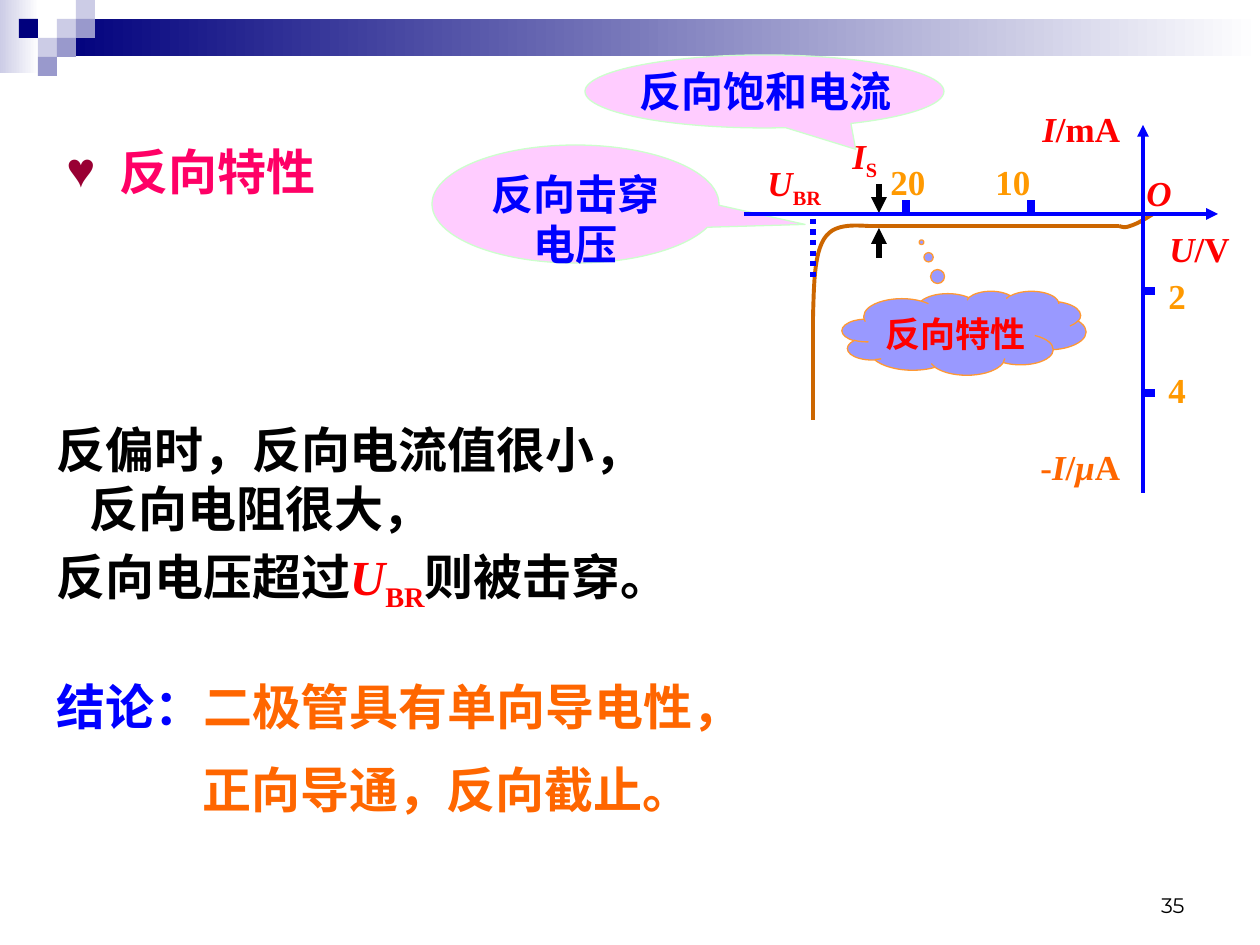
from pptx import Presentation
from pptx.dml.color import RGBColor
from pptx.enum.dml import MSO_LINE
from pptx.enum.shapes import MSO_CONNECTOR, MSO_SHAPE
from pptx.enum.text import MSO_ANCHOR, PP_ALIGN
from pptx.oxml.ns import qn
from pptx.util import Emu, Pt
from lxml.etree import SubElement

PX = 914400 / 126
SERIF = "Times New Roman"
RED, BLUE, ORANGE, AMBER = "FF0000", "0000FF", "FF6600", "FF9900"
BLACK, BROWN, PINK, MINT = "000000", "CC6600", "FFCCFF", "CCFFCC"

# Header: left, top, width, height, first colour of a fade to white
FADES = [(0, 0, 39, 73, "CCCCE6"), (57, 19, 1203, 37, "00007D")]
SQUARE = 19
SQUARES = [  # column, row, colour
    (3, 1, "CCCCE6"), (4, 0, "CCCCE6"), (4, 1, "9999CC"), (2, 2, "CCCCE6"),
    (1, 1, "00007D"), (3, 2, "9999CC"), (2, 3, "9999CC"),
]

# Preset, left, top, width, height, pointer, fill, line
CALLOUTS = [
    (MSO_SHAPE.CLOUD_CALLOUT, 842, 291, 244, 84, (-0.174, -1.081), "9999FF", "FF9933"),
    (MSO_SHAPE.OVAL_CALLOUT, 585, 55, 359, 73, (0.254, 0.792), PINK, MINT),
    (MSO_SHAPE.OVAL_CALLOUT, 432, 145, 287, 118, (0.8, 0.173), PINK, MINT),
]
BREAKDOWN_NOTE = [("反向击穿电压", BLUE, "")]

# x1, y1, x2, y2, colour, points, ending
LINES = [
    (1119, 226, 869, 226, BROWN, 2.25, ""),
    (813, 318, 813, 420, BROWN, 2.25, ""),
    (879, 184, 879, 213, BLACK, 3, "arrow"),
    (879, 258, 879, 228, BLACK, 3, "arrow"),
    (813, 219, 813, 282, BLUE, 3, "dots"),
    (1143, 493, 1143, 125, BLUE, 2.25, "arrow"),
    (744, 214, 1218, 214, BLUE, 2.25, "arrow"),
]
LINES += [(1143, y, 1155, y, BLUE, 4.5, "") for y in (291, 393)]
LINES += [(x, 214, x, 200, BLUE, 4.5, "") for x in (1031, 906)]

# Cubic Bezier curves: start, then control, control, end for each piece
CURVES = [
    [(1153, 214), (1145, 219), (1137, 224), (1130, 226), (1125, 228), (1122, 227), (1119, 226)],
    [(869, 226), (852, 225), (833, 224), (824, 239), (814, 255), (814, 286), (813, 318)],
]

# Left, top, width, points, spans; a span is text, colour, style (i italic, s subscript)
LABELS = [
    (840, 128, 63, 20, [("I", RED, "i"), ("S", RED, "s")]),
    (873, 306, 171, 20, [("反向特性", RED, "")]),
    (755, 155, 84, 20, [("U", RED, "i"), ("BR", RED, "s")]),
    (627, 59, 289, 24, [("反向饱和电流", BLUE, "")]),
    (1156, 268, 58, 20, [("2", AMBER, "")]),
    (1156, 362, 68, 20, [("4", AMBER, "")]),
    (1028, 439, 126, 20, [("-", ORANGE, ""), ("I", ORANGE, "i"), ("/", ORANGE, ""),
                          ("μ", ORANGE, "i"), ("A", ORANGE, "")]),
    (1030, 101, 126, 20, [("I", RED, "i"), ("/mA", RED, "")]),
    (1157, 221, 103, 20, [("U", RED, "i"), ("/V", RED, "")]),
    (878, 154, 63, 20, [("20", AMBER, "")]),
    (983, 154, 63, 20, [("10", AMBER, "")]),
    (1134, 165, 68, 20, [("O", RED, "i")]),
]

# Left, top, width, height, paragraphs of (left margin px, points before, spans)
BODIES = [
    (44, 413, 726, 202, [
        (0, 0, [("反偏时，反向电流值很小，", BLACK, "")]),
        (33, 0, [("反向电阻很大，", BLACK, "")]),
        (0, 5.6, [("反向电压超过", BLACK, ""), ("U", RED, "i"), ("BR", RED, "s"),
                  ("则被击穿。", BLACK, "")]),
    ]),
    (44, 670, 745, 160, [
        (0, 0, [("结论：", BLUE, ""), ("二极管具有单向导电性，", ORANGE, "")]),
        (146, 14, [("正向导通，反向截止。", ORANGE, "")]),
    ]),
]
HEADING = (54, 135, 397, 72, [(53, 0, [("反向特性", "FF0066", "")])])


def emu(*lengths):
    return [Emu(round(length * PX)) for length in lengths]


def rgb(color):
    return RGBColor.from_string(color)


def add_preset(preset, *frame):
    shape = page.shapes.add_shape(preset, *emu(*frame))
    shape.shadow.inherit = False
    shape.line.fill.background()
    return shape


def fill_solid(shape, color):
    shape.fill.solid()
    shape.fill.fore_color.rgb = rgb(color)


def add_spans(para, spans, size, font=SERIF, bold=True):
    for text, color, style in spans:
        span = para.add_run()
        span.text = text
        span.font.name, span.font.size = font, Pt(size)
        span.font.bold, span.font.italic = bold, "i" in style
        span.font.color.rgb = rgb(color)
        if "s" in style:
            span.font._element.set("baseline", "-25000")


def add_box(*frame):
    box = page.shapes.add_textbox(*emu(*frame))
    box.text_frame.word_wrap = True
    return box.text_frame


def add_body(left, top, width, height, paragraphs):
    frame = add_box(left, top, width, height)
    for number, (margin, before, spans) in enumerate(paragraphs):
        para = frame.add_paragraph() if number else frame.paragraphs[0]
        para._p.get_or_add_pPr().set("marL", str(emu(margin)[0]))
        if before:
            para.space_before = Pt(before)
        add_spans(para, spans, 28)
    return frame


def add_heart(para, indent):
    """Give the paragraph a hanging heart bullet."""
    props = para._p.get_or_add_pPr()
    props.set("indent", str(-emu(indent)[0]))
    SubElement(SubElement(props, qn("a:buClr")), qn("a:srgbClr"), val="990033")
    SubElement(props, qn("a:buFont"), typeface=SERIF)
    SubElement(props, qn("a:buChar"), char="♥")


def add_line(x1, y1, x2, y2, color, points, ending):
    line = page.shapes.add_connector(MSO_CONNECTOR.STRAIGHT, *emu(x1, y1, x2, y2))
    line.line.color.rgb, line.line.width = rgb(color), Pt(points)
    if ending == "dots":
        line.line.dash_style = MSO_LINE.ROUND_DOT
    elif ending == "arrow":
        SubElement(line.line._get_or_add_ln(), qn("a:tailEnd"), type="triangle")
    SubElement(line._element.spPr, qn("a:effectLst"))


def bezier_points(curve, steps=12):
    for first in range(0, len(curve) - 1, 3):
        a, b, c, d = curve[first:first + 4]
        for step in range(1, steps + 1):
            t = step / steps
            u = 1 - t
            yield emu(*(u**3 * p + 3 * u * u * t * q + 3 * u * t * t * r + t**3 * s
                        for p, q, r, s in zip(a, b, c, d)))


def add_curve(curve):
    builder = page.shapes.build_freeform(*emu(*curve[0]))
    builder.add_line_segments(list(bezier_points(curve)), close=False)
    shape = builder.convert_to_shape()
    shape.shadow.inherit = False
    shape.fill.background()
    shape.line.color.rgb, shape.line.width = rgb(BROWN), Pt(2.25)


deck = Presentation()
deck.slide_width, deck.slide_height = emu(1260, 945)
page = deck.slides.add_slide(deck.slide_layouts[6])

for *frame, color in FADES:
    fill = add_preset(MSO_SHAPE.RECTANGLE, *frame).fill
    fill.gradient()
    fill.gradient_angle = 0
    for stop, shade in zip(fill.gradient_stops, (color, "FFFFFF")):
        stop.color.rgb = rgb(shade)
for column, row, color in SQUARES:
    cell = add_preset(MSO_SHAPE.RECTANGLE, column * SQUARE, row * SQUARE, SQUARE, SQUARE)
    fill_solid(cell, color)

for preset, *frame, pointer, color, edge in CALLOUTS:
    callout = add_preset(preset, *frame)
    callout.adjustments[0], callout.adjustments[1] = pointer
    fill_solid(callout, color)
    callout.line.color.rgb, callout.line.width = rgb(edge), Pt(0.75)
callout.text_frame.vertical_anchor = MSO_ANCHOR.TOP
callout.text_frame.paragraphs[0].alignment = PP_ALIGN.CENTER
add_spans(callout.text_frame.paragraphs[0], BREAKDOWN_NOTE, 24)

for curve in CURVES:
    add_curve(curve)
for line in LINES:
    add_line(*line)
for left, top, width, size, spans in LABELS:
    add_spans(add_box(left, top, width, 54).paragraphs[0], spans, size)
for body in BODIES:
    add_body(*body)
add_heart(add_body(*HEADING).paragraphs[0], 53)

number = add_box(903, 861, 294, 63)
number.vertical_anchor = MSO_ANCHOR.BOTTOM
number.paragraphs[0].alignment = PP_ALIGN.RIGHT
add_spans(number.paragraphs[0], [("35", BLACK, "")], 12, "Montserrat", False)

deck.save("out.pptx")
